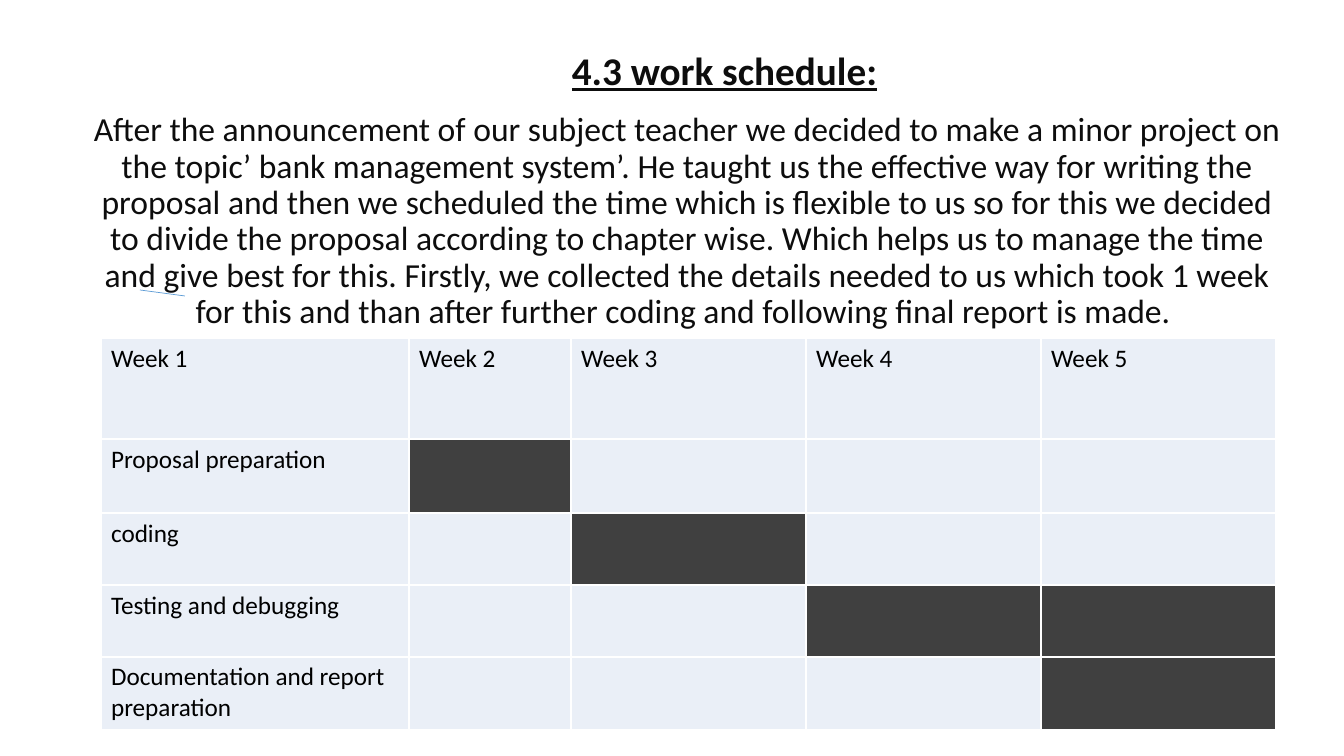
from lxml.etree import SubElement
from pptx import Presentation
from pptx.dml.color import RGBColor
from pptx.enum.shapes import MSO_CONNECTOR
from pptx.enum.text import MSO_ANCHOR, PP_ALIGN
from pptx.oxml.ns import qn
from pptx.util import Emu, Pt


def px(length):
    """Turn pixels (100.8 to the inch) into EMU."""
    return Emu(round(length * 914400 / 100.8))


def color(hex_string):
    return RGBColor.from_string(hex_string)


presentation = Presentation()
presentation.slide_width = px(1344)
presentation.slide_height = px(756)
slide = presentation.slides.add_slide(presentation.slide_layouts[6])

# Heading and introduction
heading = "4.3 work schedule:"
introduction = (
    "After the announcement of our subject teacher we decided to make a minor project on "
    "the topic’ bank management system’. He taught us the effective way for writing the "
    "proposal and then we scheduled the time which is flexible to us so for this we decided "
    "to divide the proposal according to chapter wise. Which helps us to manage the time "
    "and give best for this. Firstly, we collected the details needed to us which took 1 week "
    "for this and than after further coding and following final report is made. "
)
text_blocks = [
    (heading, (399, 22, 651, 77), MSO_ANCHOR.BOTTOM, 0,
     {"size": Pt(28), "bold": True, "underline": True}),
    (introduction, (75, 108, 1224, 623), MSO_ANCHOR.TOP, 10, {"size": Pt(24)}),
]
for text, box, anchor, space_before, font_format in text_blocks:
    text_frame = slide.shapes.add_textbox(*map(px, box)).text_frame
    text_frame.word_wrap = True
    text_frame.vertical_anchor = anchor
    paragraph = text_frame.paragraphs[0]
    paragraph.alignment = PP_ALIGN.CENTER
    paragraph.line_spacing = 0.9
    paragraph.space_before = Pt(space_before)
    run = paragraph.add_run()
    run.text = text
    run.font.name = "Calibri"
    run.font.color.rgb = color("0D0D0D")
    for name, value in font_format.items():
        setattr(run.font, name, value)

# Short stroke below the introduction
stroke = slide.shapes.add_connector(
    MSO_CONNECTOR.STRAIGHT, px(140), px(290), px(185), px(296))
stroke.line.color.rgb = color("5B9BD5")
stroke.line.width = Pt(0.5)
SubElement(stroke._element.spPr, qn("a:effectLst"))

# Schedule: row labels with the columns that are marked as busy
column_widths = [308, 162, 235, 235, 235]
row_heights = [101, 74, 72, 72, 73]
tasks = [
    ("Proposal preparation", {1}),
    ("coding", {2}),
    ("Testing and debugging", {3, 4}),
    ("Documentation and report preparation", {4}),
]
rows = [([f"Week {week}" for week in range(1, 6)], set())]
rows += [([task, "", "", "", ""], busy) for task, busy in tasks]

table = slide.shapes.add_table(
    len(rows), len(column_widths), px(101), px(338),
    px(sum(column_widths)), px(sum(row_heights))).table
table.first_row = False
table.horz_banding = False
for column, width in zip(table.columns, column_widths):
    column.width = px(width)
for row, height, (texts, busy) in zip(table.rows, row_heights, rows):
    row.height = px(height)
    for index, (cell, text) in enumerate(zip(row.cells, texts)):
        cell.fill.solid()
        cell.fill.fore_color.rgb = color("404040" if index in busy else "EAEFF7")
        cell.text = text
        font = cell.text_frame.paragraphs[0].font
        font.name = "Calibri"
        font.size = Pt(18)
        font.color.rgb = color("000000")
        for run in cell.text_frame.paragraphs[0].runs:
            run.font.name = "Calibri"
            run.font.size = Pt(18)
            run.font.color.rgb = color("000000")

presentation.save("out.pptx")
